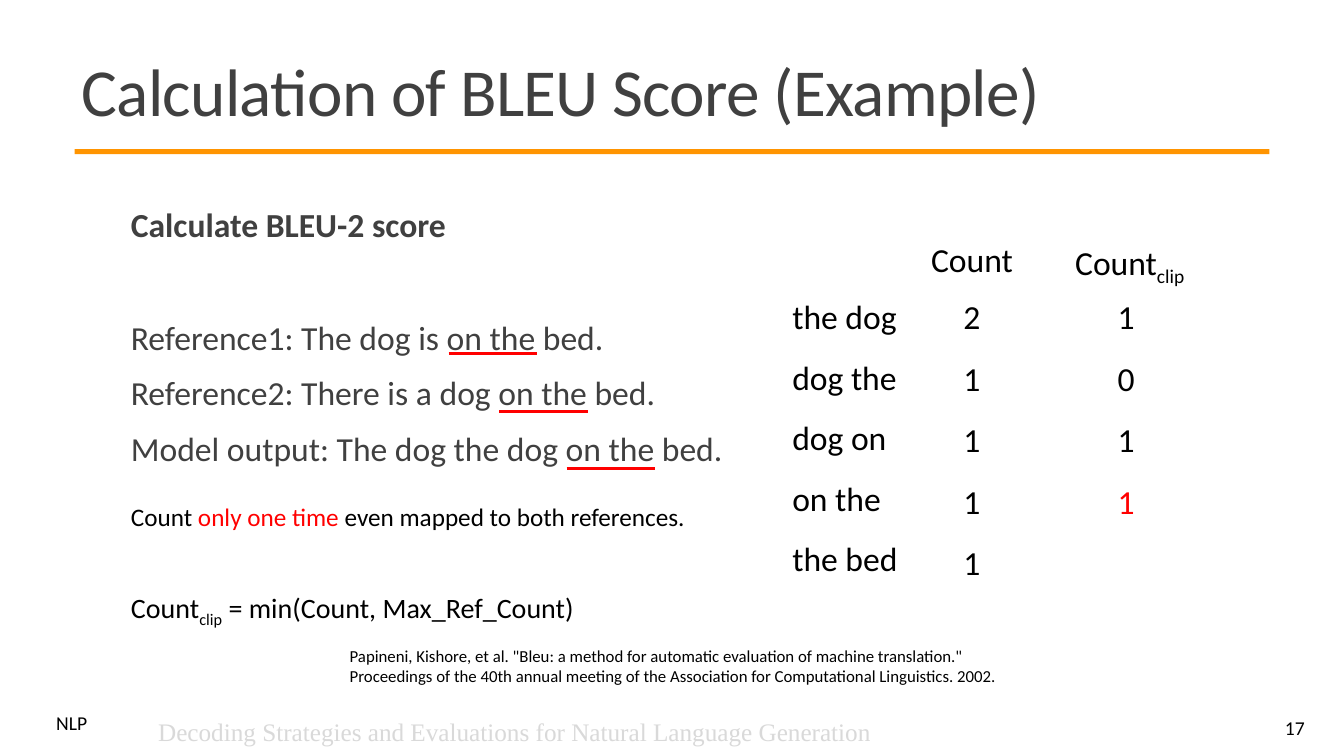
from collections import namedtuple

from lxml.etree import SubElement
from pptx import Presentation
from pptx.dml.color import RGBColor
from pptx.enum.shapes import MSO_CONNECTOR, MSO_SHAPE
from pptx.enum.text import MSO_ANCHOR, MSO_AUTO_SIZE, PP_ALIGN
from pptx.oxml.ns import qn
from pptx.util import Inches, Pt

Box = namedtuple("Box", "left top width height")

BLACK, GREY, PALE = "000000", "404040", "D9D9D9"
RED, ORANGE = "FF0000", "FF9400"
ROW_PITCH = 0.61
CELL_WIDTH, CELL_HEIGHT = 1.24, 0.64
COUNTS = [
    ("the dog", "2", "1"),
    ("dog the", "1", "0"),
    ("dog on", "1", "1"),
    ("on the", "1", "1"),
    ("the bed", "1", ""),
]


def color(value):
    return RGBColor.from_string(value)


def place(shape, box):
    shape.left, shape.top, shape.width, shape.height = map(Inches, box)


def add_span(para, text, size=24, fill=BLACK, name="Calibri", bold=False,
             baseline=0, spacing=0):
    span = para.add_run()
    span.text = text
    span.font.size = Pt(size)
    span.font.name = name
    span.font.bold = bold
    span.font.color.rgb = color(fill)
    properties = span._r.get_or_add_rPr()
    if baseline:
        properties.set("baseline", str(baseline * 1000))
    if spacing:
        properties.set("spc", str(int(spacing * 100)))


def fill_para(para, content, align=PP_ALIGN.LEFT, line=1.0, before=0, after=0,
              **style):
    para.alignment = align
    para.line_spacing = line
    para.space_before = Pt(before)
    para.space_after = Pt(after)
    spans = [(content, {})] if isinstance(content, str) else content
    for text, changes in spans:
        add_span(para, text, **{**style, **changes})


def add_text(page, box, *contents, anchor=MSO_ANCHOR.TOP, **style):
    shape = page.shapes.add_textbox(*map(Inches, box))
    frame = shape.text_frame
    frame.word_wrap = True
    frame.vertical_anchor = anchor
    for index, content in enumerate(contents):
        para = frame.add_paragraph() if index else frame.paragraphs[0]
        fill_para(para, content, **style)
    return frame


def add_heading(page, box):
    title = page.shapes.title
    place(title, box)
    frame = title.text_frame
    frame.auto_size = MSO_AUTO_SIZE.NONE
    frame.word_wrap = True
    frame.vertical_anchor = MSO_ANCHOR.MIDDLE
    fill_para(frame.paragraphs[0], "Calculation of BLEU Score (Example)",
              size=48, fill=GREY, line=0.85, spacing=-0.5)
    rule_box = Box(box.left + 0.03, box.top + 1.09, 11.85, 0.05)
    rule = page.shapes.add_shape(MSO_SHAPE.RECTANGLE, *map(Inches, rule_box))
    rule.shadow.inherit = False
    rule.fill.solid()
    rule.fill.fore_color.rgb = color(ORANGE)
    rule.line.fill.background()


def add_underline(page, left, top, width):
    line = page.shapes.add_connector(
        MSO_CONNECTOR.STRAIGHT, *map(Inches, (left, top, left + width, top)))
    line.line.color.rgb = color(RED)
    line.line.width = Pt(2.25)
    SubElement(line._element.spPr, qn("a:effectLst"))


def add_sentences(page, box):
    frame = add_text(
        page, box,
        [("Calculate BLEU-2 score", {"bold": True})],
        "Reference1: The dog is on the bed.",
        "Reference2: There is a dog on the bed.",
        "Model output: The dog the dog on the bed.",
        fill=GREY, line=0.9, after=2)
    for para, before in zip(frame.paragraphs, (0, 52.4, 12, 12)):
        para.space_before = Pt(before)
    for index, offset in enumerate((3.25, 3.75, 4.42)):
        add_underline(page, box.left + offset, box.top + 1.49 + 0.57 * index, 0.88)


def add_explanations(page, box):
    add_text(page, Box(box.left, box.top, box.width, 0.4),
             [("Count ", {}), ("only one time ", {"fill": RED}),
              ("even mapped to both references.", {})], size=18)
    add_text(page, Box(box.left, box.top + 0.89, box.width, 0.44),
             [("Count", {}), ("clip", {"baseline": -25}),
              (" = min(Count, Max_Ref_Count)", {})], size=20)


def add_counts(page, box):
    centered = {"align": PP_ALIGN.CENTER, "line": 1.5}
    first_row = box.top + 0.57
    count_left, clip_left = box.left + 1.26, box.left + 2.79
    add_text(page, Box(box.left, first_row, 2.1, 5 * ROW_PITCH),
             *[row[0] for row in COUNTS], line=1.5)
    add_text(page, Box(count_left, box.top, CELL_WIDTH, CELL_HEIGHT),
             "Count", **centered)
    add_text(page, Box(box.left + 2.45, box.top, 1.99, CELL_HEIGHT),
             [("Count", {}), ("clip", {"baseline": -25})], **centered)
    for index, (bigram, count, clipped) in enumerate(COUNTS):
        top = first_row + ROW_PITCH * index
        add_text(page, Box(count_left, top, CELL_WIDTH, CELL_HEIGHT),
                 count, **centered)
        if clipped:
            add_text(page, Box(clip_left, top, CELL_WIDTH, CELL_HEIGHT), clipped,
                     fill=RED if bigram == "on the" else BLACK, **centered)


def add_footer(page, box):
    add_text(page, Box(box.left, box.top + 0.03, 0.7, 0.29), "NLP",
             size=14, line=0.8)
    add_text(page, Box(box.left + 1.01, box.top + 0.04, 7.52, 0.4),
             "Decoding Strategies and Evaluations for Natural Language Generation",
             size=18, fill=PALE, name="Times New Roman")
    add_text(page, Box(box.left + box.width - 1.43, box.top, 1.43, 0.4), "17",
             size=14, align=PP_ALIGN.RIGHT, anchor=MSO_ANCHOR.MIDDLE)


def add_citation(page, box):
    add_text(page, box,
             'Papineni, Kishore, et al. "Bleu: a method for automatic evaluation '
             'of machine translation." Proceedings of the 40th annual meeting of '
             'the Association for Computational Linguistics. 2002.', size=12)


def main():
    deck = Presentation()
    deck.slide_width, deck.slide_height = Inches(13.33), Inches(7.5)
    page = deck.slides.add_slide(deck.slide_layouts[5])
    add_heading(page, Box(0.71, 0.39, 11.94, 1.13))
    add_sentences(page, Box(1.2, 2.02, 6.5, 2.8))
    add_explanations(page, Box(1.2, 4.92, 5.76, 1.33))
    add_counts(page, Box(7.76, 2.12, 4.44, 3.64))
    add_citation(page, Box(3.37, 6.36, 6.67, 0.5))
    add_footer(page, Box(0.46, 7.02, 12.58, 0.44))
    deck.save("out.pptx")


if __name__ == "__main__":
    main()
